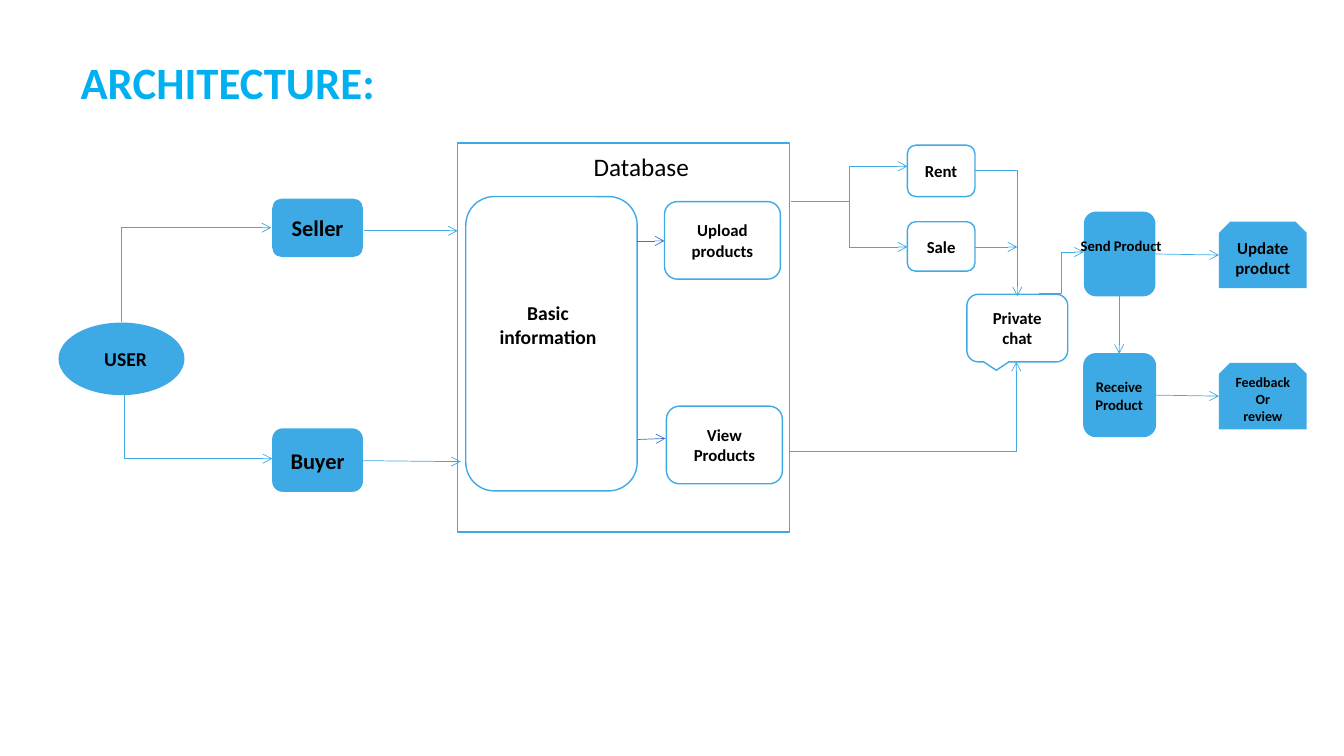
import pptx
import pptx.dml.color
import pptx.enum.shapes
import pptx.enum.text
import pptx.oxml.ns
import pptx.util
from lxml import etree

Inches = pptx.util.Inches
Pt = pptx.util.Pt
SHAPE = pptx.enum.shapes.MSO_SHAPE
CONNECTOR = pptx.enum.shapes.MSO_CONNECTOR
ALIGN = pptx.enum.text.PP_ALIGN
ANCHOR = pptx.enum.text.MSO_ANCHOR
qn = pptx.oxml.ns.qn

SKY = pptx.dml.color.RGBColor(0x3E, 0xAA, 0xE5)
BLUE = pptx.dml.color.RGBColor(0x44, 0x72, 0xC4)
TITLE_BLUE = pptx.dml.color.RGBColor(0x00, 0xB0, 0xF0)
BLACK = pptx.dml.color.RGBColor(0, 0, 0)
WHITE = pptx.dml.color.RGBColor(0xFF, 0xFF, 0xFF)


class Diagram:
    font_name = "Calibri"

    def __init__(self, slide):
        self.slide = slide

    def set_text(self, frame, text, size, color=BLACK, bold=True, align=ALIGN.CENTER):
        frame.text = text
        for paragraph in frame.paragraphs:
            paragraph.alignment = align
            font = paragraph.font
            font.name, font.size, font.bold = self.font_name, Pt(size), bold
            font.color.rgb = color

    def box(self, kind, left, top, width, height, text="", size=12,
            fill=SKY, outline=None):
        shape = self.slide.shapes.add_shape(
            kind, Inches(left), Inches(top), Inches(width), Inches(height))
        shape.shadow.inherit = False
        if fill is None:
            shape.fill.background()
        else:
            shape.fill.solid()
            shape.fill.fore_color.rgb = fill
        if outline is None:
            shape.line.fill.background()
        else:
            shape.line.color.rgb = outline
            shape.line.width = Pt(1)
        if text:
            shape.text_frame.vertical_anchor = ANCHOR.MIDDLE
            self.set_text(shape.text_frame, text, size)
        return shape

    def label(self, left, top, width, height, text, size, wrap=True, **style):
        box = self.slide.shapes.add_textbox(
            Inches(left), Inches(top), Inches(width), Inches(height))
        box.text_frame.word_wrap = wrap
        self.set_text(box.text_frame, text, size, **style)

    def arrow(self, start, end, color=SKY, bend=None):
        """bend: share of the width where the elbow turns, or "corner"."""
        kind = CONNECTOR.STRAIGHT if bend is None else CONNECTOR.ELBOW
        connector = self.slide.shapes.add_connector(
            kind, *(Inches(value) for value in (*start, *end)))
        connector.line.color.rgb = color
        connector.line.width = Pt(0.5)
        properties = connector._element.spPr
        geometry = properties.find(qn("a:prstGeom"))
        if bend == "corner":
            geometry.set("prst", "bentConnector2")
        elif bend is not None:
            etree.SubElement(geometry.find(qn("a:avLst")), qn("a:gd"),
                             name="adj1", fmla=f"val {round(bend * 100000)}")
        etree.SubElement(properties.find(qn("a:ln")), qn("a:tailEnd"), type="arrow")
        etree.SubElement(properties, qn("a:effectLst"))


def main():
    presentation = pptx.Presentation()
    presentation.slide_width = Inches(13.33)
    presentation.slide_height = Inches(7.5)
    slide = presentation.slides.add_slide(presentation.slide_layouts[6])
    diagram = Diagram(slide)

    # Title
    diagram.label(0.7, 0.49, 3.15, 0.64, "ARCHITECTURE:", 32, wrap=False,
                  color=TITLE_BLUE, align=ALIGN.LEFT)

    # User and roles
    diagram.arrow((1.2, 3.2), (2.69, 2.26), bend=0)
    diagram.arrow((1.25, 3.9), (2.7, 4.55), bend=-0.01)
    user = diagram.box(SHAPE.OVAL, 0.58, 3.2, 1.25, 0.72, "USER", 14)
    user.text_frame.margin_left = Inches(0.18)
    diagram.box(SHAPE.ROUNDED_RECTANGLE, 2.7, 1.97, 0.9, 0.58, "Seller", 16)
    diagram.box(SHAPE.ROUNDED_RECTANGLE, 2.7, 4.25, 0.9, 0.63, "Buyer", 16)

    # Database frame
    diagram.box(SHAPE.RECTANGLE, 4.54, 1.42, 3.29, 3.86, fill=None, outline=SKY)
    diagram.box(SHAPE.ROUNDED_RECTANGLE, 4.62, 1.95, 1.7, 2.92, fill=None, outline=SKY)
    diagram.label(5.79, 1.45, 1.36, 0.4, "Database", 18, bold=False, align=ALIGN.LEFT)
    diagram.label(4.68, 2.94, 1.51, 0.57, "Basic information", 14)

    # White steps
    for left, top, width, height, text in (
            (6.59, 2, 1.15, 0.77, "Upload products"),
            (6.61, 4.03, 1.15, 0.77, "View Products"),
            (9, 1.44, 0.67, 0.51, "Rent"),
            (9, 2.2, 0.67, 0.49, "Sale")):
        diagram.box(SHAPE.ROUNDED_RECTANGLE, left, top, width, height, text,
                    fill=WHITE, outline=SKY)
    diagram.box(SHAPE.ROUNDED_RECTANGULAR_CALLOUT, 9.59, 2.92, 1, 0.67,
                "Private chat", fill=WHITE, outline=SKY)

    # Delivery and outcome
    diagram.box(SHAPE.ROUNDED_RECTANGLE, 10.75, 2.1, 0.71, 0.84)
    diagram.box(SHAPE.ROUNDED_RECTANGLE, 10.75, 3.51, 0.71, 0.82, outline=SKY)
    diagram.label(10.62, 2.3, 1, 0.45, "Send Product", 10.5)
    diagram.label(10.6, 3.7, 1, 0.45, "Receive\nProduct", 10.5)
    for top, text, size in ((2.2, "Update product", 12),
                            (3.6, "Feedback\nOr\nreview", 10)):
        diagram.box(SHAPE.SNIP_2_SAME_RECTANGLE, 12.09, top, 0.87, 0.66, text, size)

    # Straight arrows
    for start, end, color in (
            ((3.61, 2.29), (4.54, 2.29), SKY),
            ((3.59, 4.57), (4.57, 4.58), SKY),
            ((6.32, 2.39), (6.59, 2.39), BLUE),
            ((6.33, 4.36), (6.6, 4.35), BLUE),
            ((9.67, 2.45), (10.09, 2.45), SKY),
            ((11.46, 2.52), (12.09, 2.53), SKY),
            ((11.46, 3.92), (12.09, 3.93), SKY),
            ((11.1, 2.94), (11.1, 3.51), SKY)):
        diagram.arrow(start, end, color)

    # Bent arrows
    for start, end, bend in (
            ((7.85, 2), (9, 1.65), 0.5),
            ((7.85, 2), (9, 2.45), 0.5),
            ((10.31, 2.91), (10.75, 2.5), 0.5),
            ((9.67, 1.69), (10.09, 2.94), "corner"),
            ((7.83, 4.48), (10.08, 3.59), "corner")):
        diagram.arrow(start, end, bend=bend)

    presentation.save("out.pptx")


if __name__ == "__main__":
    main()
